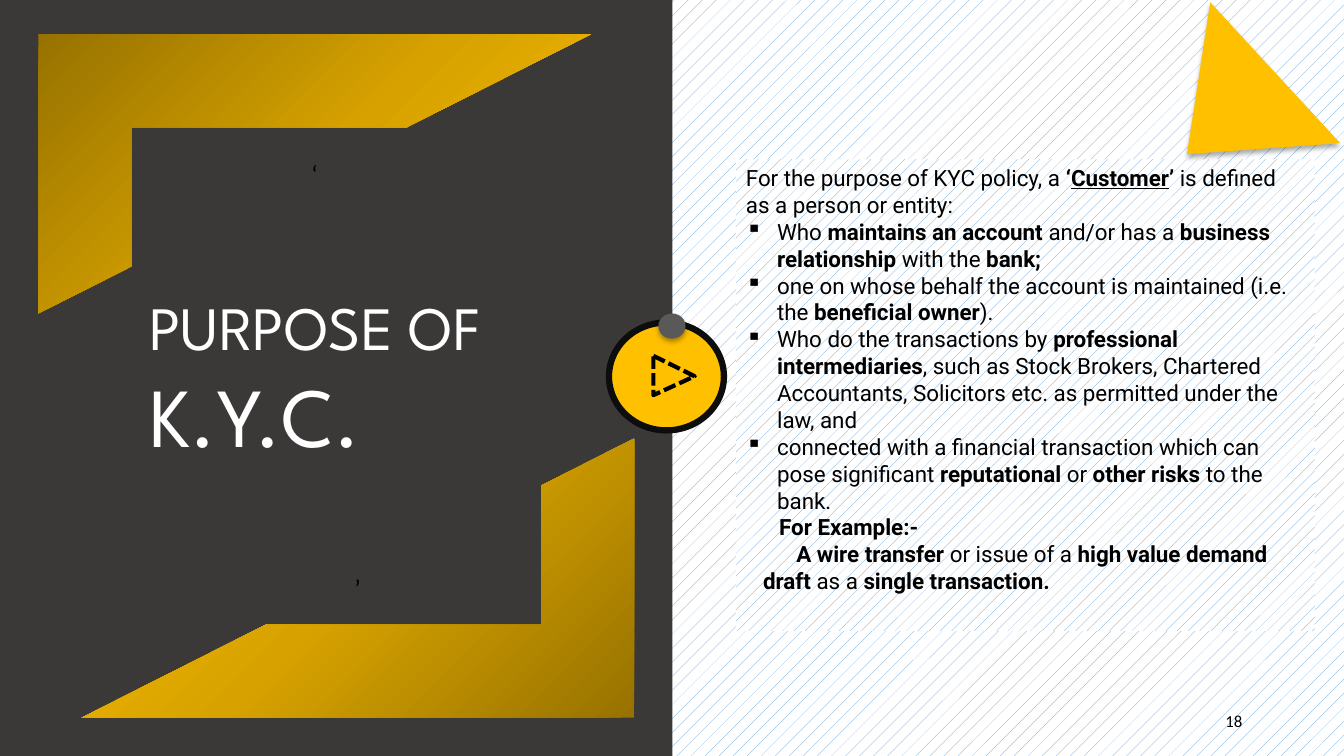
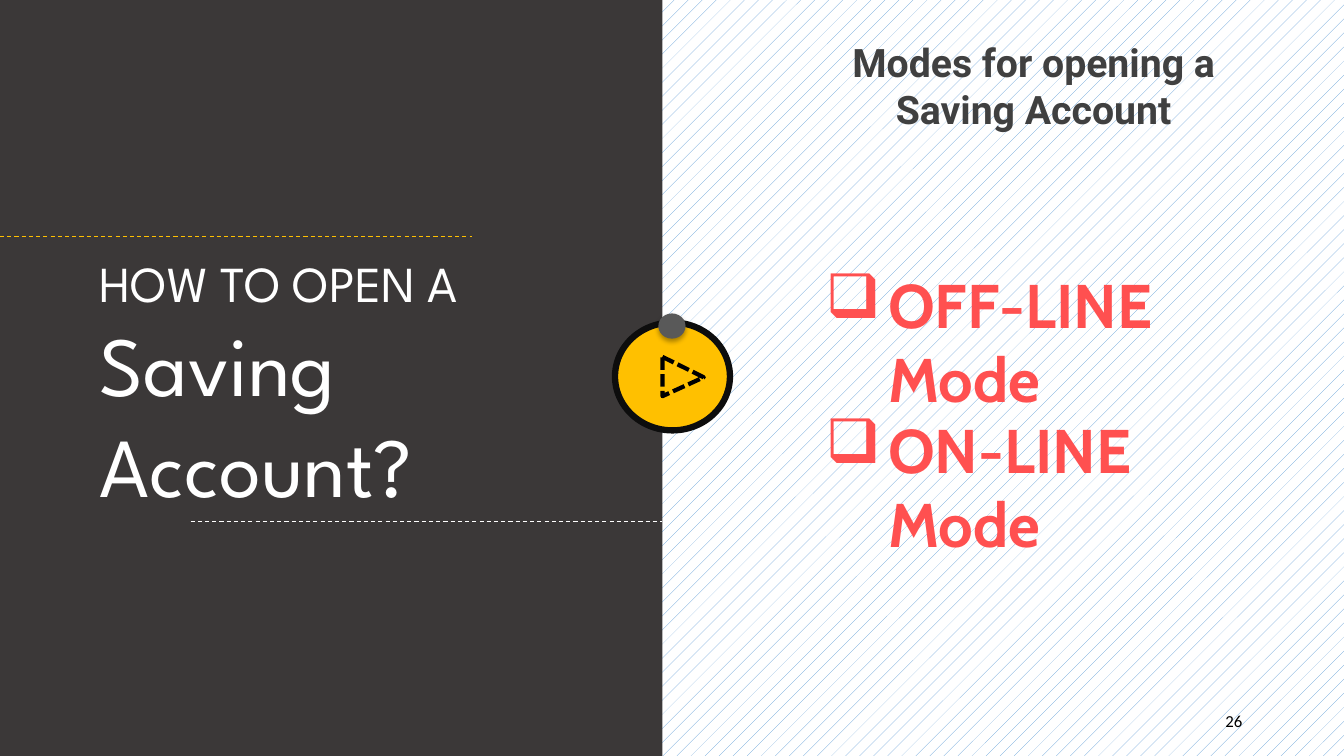
from copy import deepcopy

from lxml import etree
from pptx import Presentation
from pptx.dml.color import RGBColor
from pptx.enum.dml import MSO_LINE, MSO_PATTERN_TYPE
from pptx.enum.shapes import MSO_CONNECTOR, MSO_SHAPE
from pptx.enum.text import MSO_ANCHOR, MSO_AUTO_SIZE, PP_ALIGN
from pptx.oxml.ns import qn
from pptx.util import Inches, Pt

CHARCOAL = RGBColor(0x3B, 0x38, 0x38)
GOLD = RGBColor(0xFF, 0xC0, 0x00)
MID_GOLD = RGBColor(0xD7, 0xA2, 0x00)
DARK_GOLD = RGBColor(0x97, 0x72, 0x00)
INK = RGBColor(0x0D, 0x0D, 0x0D)
BLACK = RGBColor(0, 0, 0)
WHITE = RGBColor(0xFF, 0xFF, 0xFF)
GREY = RGBColor(0x59, 0x59, 0x59)
HEADING_GREY = RGBColor(0x40, 0x40, 0x40)
CORAL = RGBColor(0xFF, 0x50, 0x50)
PATTERN_BLUE = RGBColor(0x5B, 0x9B, 0xD5)

RECTANGLE, OVAL = MSO_SHAPE.RECTANGLE, MSO_SHAPE.OVAL
TRIANGLE, HALF_FRAME = MSO_SHAPE.ISOSCELES_TRIANGLE, MSO_SHAPE.HALF_FRAME
DASH, SHORT_DASH = MSO_LINE.DASH, MSO_LINE.SQUARE_DOT
SPARSE, DOTTED = MSO_PATTERN_TYPE.PERCENT_5, MSO_PATTERN_TYPE.PERCENT_10
LEFT, CENTER, RIGHT = PP_ALIGN.LEFT, PP_ALIGN.CENTER, PP_ALIGN.RIGHT
TOP, MIDDLE = MSO_ANCHOR.TOP, MSO_ANCHOR.MIDDLE
TITLE_ONLY = 5


def inches(values):
    return [Inches(value) for value in values]


def set_pattern(fill, pattern):
    fill.patterned()
    fill.pattern = pattern
    fill.fore_color.rgb = PATTERN_BLUE
    fill.back_color.rgb = WHITE


class Deck:
    def __init__(self):
        self.prs = Presentation()
        self.prs.slide_width, self.prs.slide_height = inches((13.33, 7.5))
        self.slide = None

    def start_slide(self):
        self.slide = self.prs.slides.add_slide(self.prs.slide_layouts[TITLE_ONLY])
        set_pattern(self.slide.background.fill, SPARSE)

    def shape(self, kind, box, fill=None, rotation=0, shadow=False):
        shape = self.slide.shapes.add_shape(kind, *inches(box))
        shape.rotation = rotation
        shape.line.fill.background()
        if fill is None:
            shape.fill.background()
        else:
            shape.fill.solid()
            shape.fill.fore_color.rgb = fill
        shape.shadow.inherit = False
        if shadow:
            self.cast_shadow(shape)
        return shape

    def cast_shadow(self, shape):
        effects = shape._element.spPr.find(qn("a:effectLst"))
        outer = etree.SubElement(effects, qn("a:outerShdw"), blurRad=str(Pt(3.5)),
                                 dist=str(Pt(2.2)), dir="5400000")
        color = etree.SubElement(outer, qn("a:srgbClr"), val=str(BLACK))
        etree.SubElement(color, qn("a:alpha"), val="32000")

    def outline(self, shape, color, width, dash=None):
        shape.line.color.rgb = color
        shape.line.width = Pt(width)
        if dash is not None:
            shape.line.dash_style = dash

    def prepare(self, holder, anchor=TOP):
        frame = holder.text_frame
        frame.word_wrap = True
        frame.auto_size = MSO_AUTO_SIZE.NONE
        frame.vertical_anchor = anchor
        return frame

    def text_box(self, box, anchor=TOP):
        return self.prepare(self.slide.shapes.add_textbox(*inches(box)), anchor)

    def paragraph(self, frame, runs, font, size, color, align=LEFT,
                  margin=0, indent=0, bullet=None):
        """Add runs of (text, marks); marks hold b for bold and u for underline."""
        first = frame.paragraphs[0]
        paragraph = first if not first.runs else frame.add_paragraph()
        paragraph.alignment = align
        properties = paragraph._p.get_or_add_pPr()
        properties.set("marL", str(Inches(margin)))
        properties.set("indent", str(Inches(indent)))
        if bullet:
            etree.SubElement(properties, qn("a:buChar"), char=bullet)
        for text, marks in runs:
            run = paragraph.add_run()
            run.text = text
            run.font.name, run.font.size = font, Pt(size)
            run.font.color.rgb = color
            run.font.bold, run.font.underline = "b" in marks, "u" in marks
        return paragraph

    def title(self, box, lead, lead_size, main, break_after_lead=False):
        title = self.slide.shapes.title
        title.left, title.top, title.width, title.height = inches(box)
        self.slide.shapes._spTree.append(title._element)
        paragraph = self.paragraph(self.prepare(title), [(lead, "")],
                                   "League Spartan", lead_size, WHITE)
        if break_after_lead:
            paragraph.add_line_break()
        run = paragraph.add_run()
        run.text = main
        run.font.name, run.font.size = "League Spartan", Pt(60)
        run.font.color.rgb = WHITE

    def panel(self, width):
        self.shape(RECTANGLE, (0, 0, width, 7.5), CHARCOAL)

    def page_number(self, number):
        frame = self.text_box((9.42, 6.95, 3, 0.4), MIDDLE)
        self.paragraph(frame, [(number, "")], "Calibri", 12, BLACK, RIGHT)

    def play_badge(self, disc_left, arrow_left, arrow_top):
        disc = self.shape(OVAL, (disc_left, 3.2, 1.14, 1.07), GOLD)
        self.outline(disc, INK, 4.5)
        arrow = self.shape(TRIANGLE, (arrow_left, arrow_top, 0.39, 0.41), rotation=90)
        arrow.adjustments[0] = 0.52
        self.outline(arrow, BLACK, 3, SHORT_DASH)
        self.shape(OVAL, (6.53, 3.11, 0.27, 0.25), GREY, shadow=True)

    def corner_frame(self, left, top, rotation):
        corner = self.shape(HALF_FRAME, (left, top, 5.48, 2.77), rotation=rotation)
        corner.fill.gradient()
        corner.fill.gradient_angle = 315
        stop_list = corner._element.spPr.find(".//" + qn("a:gsLst"))
        stop_list.insert(1, deepcopy(stop_list[0]))
        golds = (DARK_GOLD, MID_GOLD, GOLD)
        for index, (stop, gold) in enumerate(zip(corner.fill.gradient_stops, golds)):
            stop.color.rgb = gold
            stop.position = index / 2
        self.paragraph(self.prepare(corner, MIDDLE), [("‘", "")],
                       "Calibri", 18, BLACK, CENTER)

    def dashed_line(self, left, right, y, color):
        line = self.slide.shapes.add_connector(
            MSO_CONNECTOR.STRAIGHT, *inches((left, y, right, y)))
        self.outline(line, color, 0.75, DASH)
        etree.SubElement(line._element.spPr, qn("a:effectLst"))


CUSTOMER_INTRO = [("For the purpose of KYC policy, a ", ""), ("‘", "b"), ("Customer", "bu"),
                  ("’ ", "b"), ("is defined as a person or entity:", "")]
CUSTOMER_KINDS = [
    [("Who ", ""), ("maintains an account ", "b"), ("and/or has a ", ""),
     ("business relationship ", "b"), ("with the ", ""), ("bank;", "b")],
    [("one on whose behalf the account is maintained (i.e. the ", ""),
     ("beneficial owner", "b"), (").", "")],
    [("Who do the transactions by ", ""), ("professional intermediaries", "b"),
     (", such as Stock Brokers, Chartered Accountants, Solicitors etc. "
      "as permitted under the law, and", "")],
    [("connected with a financial transaction which can pose significant ", ""),
     ("reputational", "b"), (" or ", ""), ("other risks ", "b"), ("to the bank.", "")],
]
EXAMPLE = [("A wire transfer ", "b"), ("or issue of a ", ""),
           ("high value demand draft", "b"), (" as a ", ""), ("single transaction.", "b")]


def build_purpose(deck):
    deck.start_slide()
    deck.panel(6.67)
    deck.page_number("18")

    definition = deck.shape(RECTANGLE, (7.3, 1.58, 5.74, 4.68))
    set_pattern(definition.fill, DOTTED)
    frame = deck.prepare(definition)
    body = ("Roboto", 16, BLACK)
    deck.paragraph(frame, CUSTOMER_INTRO, *body)
    for kind in CUSTOMER_KINDS:
        deck.paragraph(frame, kind, *body, margin=0.31, indent=-0.31, bullet="▪")
    deck.paragraph(frame, [("For Example:-", "b")], *body, margin=0.33)
    deck.paragraph(frame, EXAMPLE, *body, margin=0.17, indent=0.33)

    deck.title((1.38, 2.82, 3.66, 1.85), "PURPOSE OF ", 44, "K.Y.C.")
    deck.corner_frame(0.38, 0.34, 0)
    deck.play_badge(6.04, 6.49, 3.52)
    deck.corner_frame(0.81, 4.35, 180)
    deck.shape(TRIANGLE, (11.26, 0.53, 1.9, 1.19), GOLD, rotation=227.3, shadow=True)


def build_account_modes(deck):
    deck.start_slide()
    deck.panel(6.57)
    deck.page_number("26")
    deck.title((0.89, 2.45, 4.54, 2.73), "HOW TO OPEN A ", 36, "Saving Account?",
               break_after_lead=True)
    deck.play_badge(6.1, 6.58, 3.53)
    deck.dashed_line(1.89, 6.57, 5.17, WHITE)
    deck.dashed_line(0, 4.68, 2.35, GOLD)

    heading = deck.text_box((7.42, 0.33, 5.76, 1.04))
    for line in ("Modes for opening a ", "Saving Account "):
        deck.paragraph(heading, [(line, "b")], "Roboto", 28, HEADING_GREY, CENTER)
    for row, mode in enumerate(("OFF-LINE Mode", "ON-LINE Mode")):
        frame = deck.text_box((8.09, 2.6 + 1.44 * row, 4.42, 0.84))
        deck.paragraph(frame, [(mode, "b")], "Cabin", 44, CORAL,
                       margin=0.62, indent=-0.62, bullet="❑")


def main():
    deck = Deck()
    build_purpose(deck)
    build_account_modes(deck)
    deck.prs.save("out.pptx")


if __name__ == "__main__":
    main()
